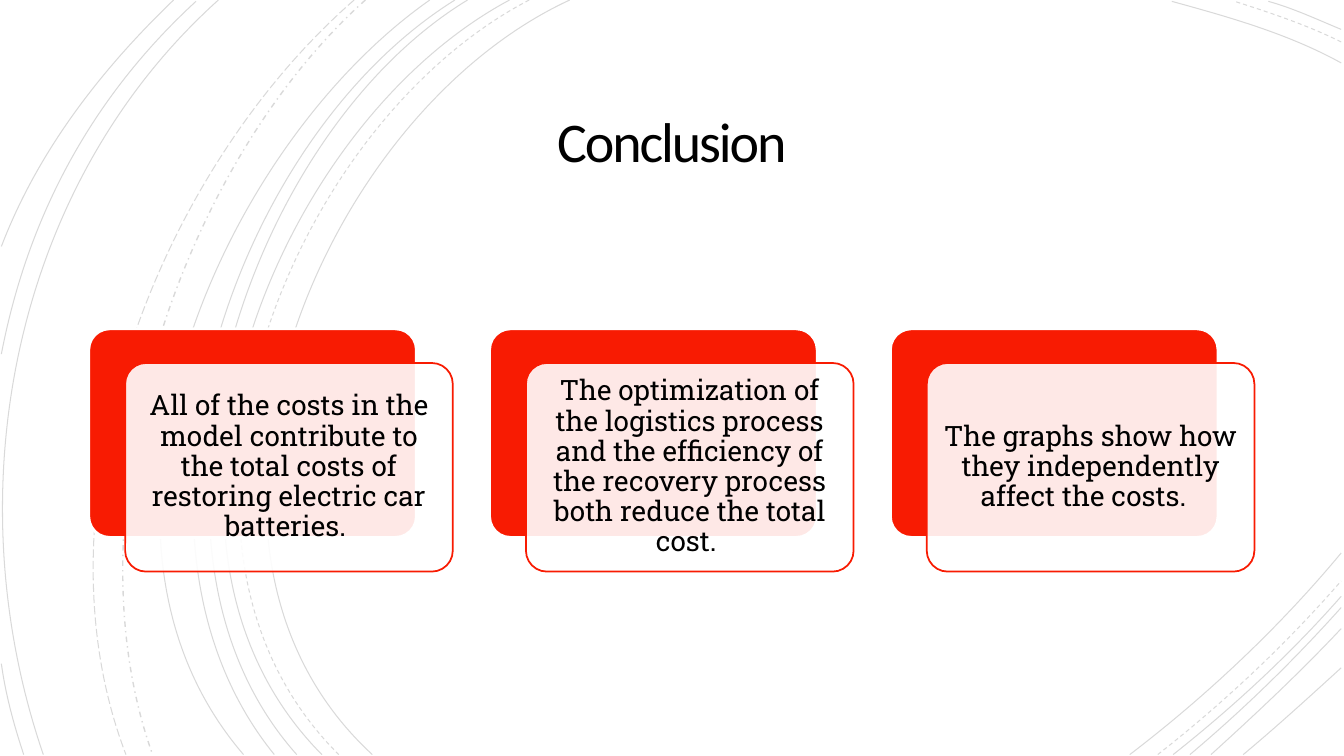
from lxml.etree import SubElement
from pptx import Presentation
from pptx.dml.color import RGBColor
from pptx.enum.dml import MSO_LINE as Dash
from pptx.enum.shapes import MSO_SHAPE as Preset
from pptx.enum.text import MSO_ANCHOR as Anchor, PP_ALIGN as Align
from pptx.oxml.ns import qn
from pptx.util import Pt

# Content
TITLE = "Conclusion"
CONCLUSIONS = [
    "All of the costs in the model contribute to the total costs of restoring electric car batteries. ",
    "The optimization of the logistics process and the efficiency of the recovery process both reduce the total cost. ",
    "The graphs show how they independently affect the costs.  ",
]
COLORS = {"red": "F81B02", "white": "FFFFFF", "black": "000000"}

# Background arcs by dash style: start, two control points, end
ARCS = {
    Dash.SOLID: [
        [(406.8, 0), (226.8, 82.8), (103, 388.8), (265.7, 538.6)],
        [(364.3, 0), (194.4, 91.4), (79.2, 386.6), (229.7, 538.6)],
        [(334.1, 0), (175.7, 95.8), (79.2, 389.5), (211.7, 538.6)],
        [(324.7, 0), (166.3, 99.4), (69.8, 383.8), (195.8, 538.6)],
        [(307.4, 0), (156.2, 105.8), (38.2, 380.9), (173.5, 538.6)],
        [(156.2, 0), (7.9, 133.2), (-33.1, 352.8), (31, 538.6)],
        [(140.4, 0.7), (66.2, 69.1), (20.2, 154.1), (1.4, 252.7)],
        [(123.8, 0), (72, 49.7), (26.6, 108), (1.4, 175.7)],
        [(0.7, 473.8), (4.3, 496.1), (10.1, 517.7), (17.3, 538.6)],
        [(958.3, 44.6), (920.2, 24.5), (877, 11.5), (836.6, 0.7)],
        [(958.3, 20.9), (941, 13.7), (923.8, 6.5), (905.8, 0.7)],
        [(807.1, 538.6), (861.8, 496.8), (913.7, 447.8), (958.3, 394.6)],
        [(838.1, 538.6), (880.6, 504.7), (921.6, 466.6), (958.3, 425.5)],
        [(850.3, 538.6), (888.5, 506.9), (924.5, 471.6), (958.3, 434.2)],
        [(864.7, 538.6), (897.1, 510.5), (928.8, 480.2), (958.3, 448.6)],
        [(888.5, 538.6), (912.2, 519.1), (935.3, 498.2), (958.3, 476.6)],
    ],
    Dash.DASH: [
        [(378, 0), (205.2, 90), (88.6, 386.6), (241.9, 538.6)],
        [(958.3, 29.5), (933.8, 18), (907.2, 8.6), (882, 0.7)],
        [(826.6, 539.3), (873.4, 502.6), (918, 460.8), (957.6, 415.4)],
    ],
    Dash.DASH_DOT: [[(261.4, 0), (126.7, 119.5), (46.8, 366.5), (108.7, 538.6)]],
    Dash.LONG_DASH: [[(252.7, 0), (113, 121.7), (20.9, 359.3), (90, 538.6)]],
}
ARC_OPACITY = 15
CARD_OPACITY = 90

# Layout
SLIDE_W, SLIDE_H = 960, 540
CARD_W, CARD_H = 234, 149
CARD_LEFT, CARD_TOP, CARD_PITCH = 63.4, 234.9, 286.3
FRONT_DX, FRONT_DY = 26, 24.4
TEXT_MARGIN = 4.4


def color(name):
    return RGBColor.from_string(COLORS[name])


def set_opacity(colored, percent):
    """Make the first colour inside an XML element partly transparent."""
    rgb = next(colored.iter(qn("a:srgbClr")))
    SubElement(rgb, qn("a:alpha")).set("val", str(percent * 1000))


def add_arc(shapes, points, dash):
    builder = shapes.build_freeform(*points[0], scale=Pt(1))
    builder.add_line_segments(points[1:], close=False)
    arc = builder.convert_to_shape()
    # Turn the three straight segments into one cubic curve
    outline = next(arc.element.iter(qn("a:path")))
    segments = outline.findall(qn("a:lnTo"))
    curve = SubElement(outline, qn("a:cubicBezTo"))
    for segment in segments:
        curve.append(segment[0])
        outline.remove(segment)
    arc.shadow.inherit = False
    arc.fill.background()
    arc.line.color.rgb = color("black")
    arc.line.width = Pt(1 if dash == Dash.DASH_DOT else 0.75)
    arc.line.dash_style = dash
    set_opacity(next(arc.element.iter(qn("a:ln"))), ARC_OPACITY)


def add_panel(shapes, left, top, fill, outline, width):
    panel = shapes.add_shape(Preset.ROUNDED_RECTANGLE, Pt(left), Pt(top), Pt(CARD_W), Pt(CARD_H))
    panel.adjustments[0] = 0.1
    panel.shadow.inherit = False
    panel.fill.solid()
    panel.fill.fore_color.rgb = color(fill)
    panel.line.color.rgb = color(outline)
    panel.line.width = Pt(width)
    return panel


def add_text(shapes, box, words, font, size, spacing, inset):
    frame = shapes.add_textbox(*map(Pt, box)).text_frame
    frame.word_wrap = True
    frame.vertical_anchor = Anchor.MIDDLE
    frame.margin_left = frame.margin_right = Pt(inset)
    frame.margin_top = frame.margin_bottom = Pt(inset)
    line = frame.paragraphs[0]
    line.text = words
    line.alignment = Align.CENTER
    line.line_spacing = spacing
    line.font.name = font
    line.font.size = Pt(size)
    line.font.color.rgb = color("black")
    return line


def main():
    deck = Presentation()
    deck.slide_width, deck.slide_height = Pt(SLIDE_W), Pt(SLIDE_H)
    slide = deck.slides.add_slide(deck.slide_layouts[6])
    slide.background.fill.solid()
    slide.background.fill.fore_color.rgb = color("white")
    shapes = slide.shapes

    # Background arcs
    for dash, arcs in ARCS.items():
        for points in arcs:
            add_arc(shapes, points, dash)

    # Title with tightened letters
    title = add_text(shapes, (138.2, 62.6, 683.3, 82.8), TITLE, "Calibri", 40, 0.85, 18)
    title.runs[0]._r.get_or_add_rPr().set("spc", "-150")

    # Conclusion cards: red panel behind, translucent panel and text in front
    for i, conclusion in enumerate(CONCLUSIONS):
        left = CARD_LEFT + i * CARD_PITCH
        add_panel(shapes, left, CARD_TOP, "red", "white", 2)
        front_left, front_top = left + FRONT_DX, CARD_TOP + FRONT_DY
        front = add_panel(shapes, front_left, front_top, "white", "red", 1.25)
        set_opacity(front.element.spPr.find(qn("a:solidFill")), CARD_OPACITY)
        text_box = (front_left + TEXT_MARGIN, front_top + TEXT_MARGIN,
                    CARD_W - 2 * TEXT_MARGIN, CARD_H - 2 * TEXT_MARGIN)
        add_text(shapes, text_box, conclusion, "Roboto Slab", 20, 0.9, 6)

    deck.save("out.pptx")


if __name__ == "__main__":
    main()
